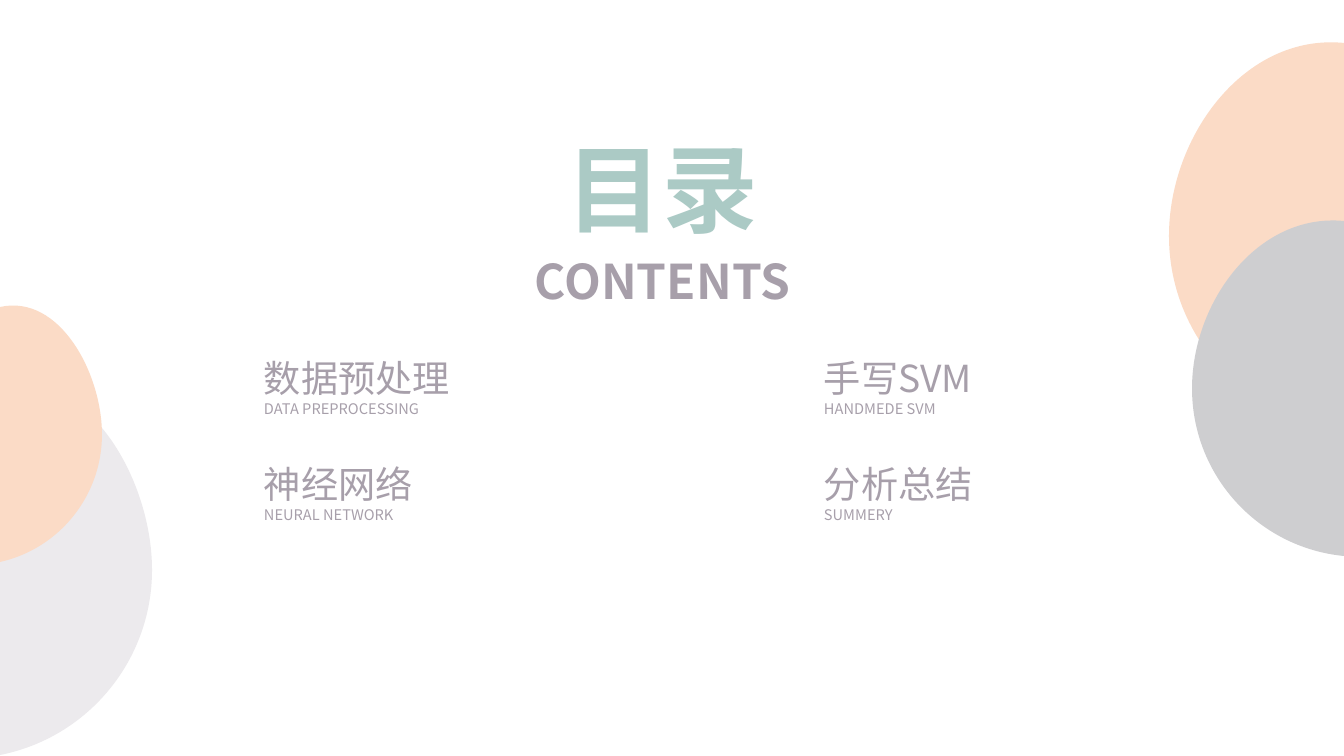
from math import atan2, cos, sin, tan

from lxml import etree
from pptx import Presentation
from pptx.dml.color import RGBColor
from pptx.enum.text import MSO_ANCHOR as Anchor, PP_ALIGN as Align
from pptx.oxml.ns import qn
from pptx.util import Emu, Pt

PX = 9565  # EMU per px
WIDTH, HEIGHT = 1344, 756
FONT = "Noto Sans CJK SC"
COLORS = {"teal": "ABCAC5", "mauve": "A79FAA", "peach": "FBDBC6",
          "grey": "CECED0", "lilac": "ECEAED"}
ITEMS = [("数据预处理", "DATA PREPROCESSING"), ("神经网络", "NEURAL NETWORK"),
         ("手写SVM", "HANDMEDE SVM"), ("分析总结", "SUMMERY")]


def rgb(name):
    return RGBColor.from_string(COLORS[name])


def px(*lengths):
    return [Emu(round(length * PX)) for length in lengths]


def set_frame(sp, anchor):
    tf = sp.text_frame
    tf.word_wrap = True
    tf.vertical_anchor = anchor
    tf.margin_left = tf.margin_top = tf.margin_right = tf.margin_bottom = 0
    return tf


def add_run(p, text, size, color, bold=False):
    r = p.add_run()
    r.text = text
    r.font.size, r.font.bold, r.font.name = Pt(size), bold, FONT
    r.font.color.rgb = rgb(color)
    ea = r.font._element.makeelement(qn("a:ea"), {"typeface": FONT})
    r.font._element.find(qn("a:latin")).addnext(ea)


def add_outline(s, points):
    # Closed freeform without line or shadow
    start, *rest = [px(*point) for point in points]
    builder = s.shapes.build_freeform(*start)
    builder.add_line_segments(rest, close=True)
    sp = builder.convert_to_shape()
    sp.shadow.inherit = False
    sp.line.fill.background()
    return sp


def add_heading(s, x, y, w):
    # Title, with its English line below
    title = s.shapes.title
    title.left, title.top, title.width, title.height = px(x + 11, y, w - 22, 116)
    p = set_frame(title, Anchor.MIDDLE).paragraphs[0]
    p.alignment = Align.CENTER
    add_run(p, "目录", 72, "teal", True)

    subtitle = s.shapes.add_textbox(*px(x, y + 123, w, 58))
    p = set_frame(subtitle, Anchor.TOP).paragraphs[0]
    p.alignment = Align.CENTER
    add_run(p, "CONTENTS", 36, "mauve", True)


def add_item(s, x, y, w, h, name, english):
    box = add_outline(s, [(x, y), (x + w, y), (x + w, y + h), (x, y + h)])
    box.fill.background()
    tf = set_frame(box, Anchor.MIDDLE)
    for p, text, size in ((tf.paragraphs[0], name, 28), (tf.add_paragraph(), english, 11)):
        p.alignment = Align.LEFT
        add_run(p, text, size, "mauve")


def add_items(s, x, y, col_gap, row_gap):
    # Contents entries, down two columns
    for i, (name, english) in enumerate(ITEMS):
        col, row = divmod(i, 2)
        add_item(s, x + col * col_gap, y + row * row_gap, 258, 63, name, english)


def bend(sp, line, *points):
    # Turn a straight segment into a curve through control points
    curve = etree.Element(qn("a:cubicBezTo"))
    for x, y in points:
        x, y = px(x, y)
        etree.SubElement(curve, qn("a:pt"), x=str(x - sp.left), y=str(y - sp.top))
    line.getparent().replace(line, curve)


def add_edge_circle(s, edge, y, depth, height, color):
    # Part of a circle, cut off by the left or right edge of the slide
    half = height / 2
    radius = (depth ** 2 + half ** 2) / (2 * depth)
    angle = atan2(half, radius - depth)
    handle = 4 / 3 * tan(angle / 4) * radius
    inward = 1 if edge == 0 else -1
    tip = (edge + inward * depth, y + half)
    top, bottom = (edge, y), (edge, y + height)
    sp = add_outline(s, [tip, top, bottom, tip])
    sp.fill.solid()
    sp.fill.fore_color.rgb = rgb(color)

    across, down = inward * handle * sin(angle), handle * cos(angle)
    first, _, last = list(sp._element.iter(qn("a:lnTo")))[:3]
    bend(sp, first, (tip[0], tip[1] - handle), (edge + across, y - down + 2 * 0), top)
    bend(sp, last, (edge + across, y + height - down), (tip[0], tip[1] + handle), tip)


def main():
    prs = Presentation()
    prs.slide_width, prs.slide_height = px(WIDTH, HEIGHT)
    s = prs.slides.add_slide(prs.slide_layouts[5])
    add_heading(s, 490, 129, 345)
    add_items(s, 264, 355, 560, 106)
    add_edge_circle(s, 0, 385, 152, 370, "lilac")
    add_edge_circle(s, WIDTH, 43, 175, 386, "peach")
    add_edge_circle(s, WIDTH, 221, 152, 335, "grey")
    add_edge_circle(s, 0, 307, 102, 255, "peach")
    prs.save("out.pptx")


if __name__ == "__main__":
    main()
